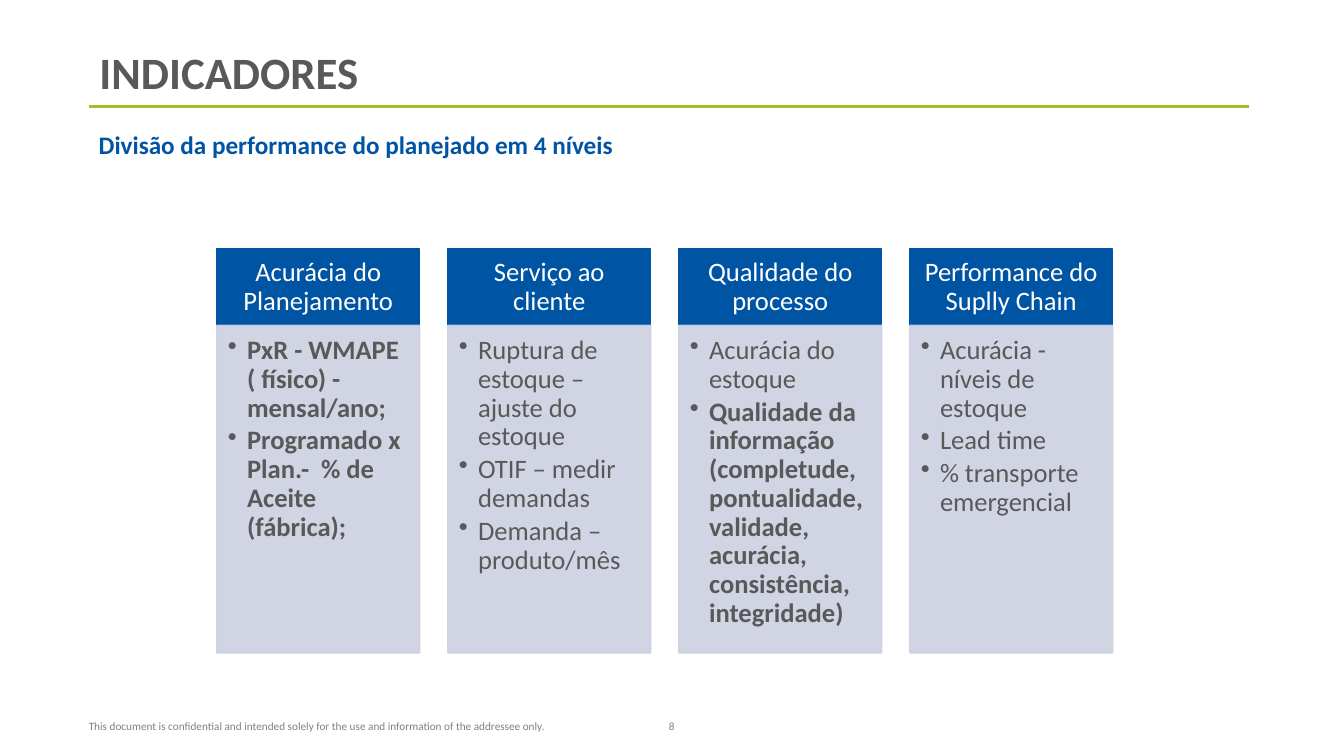
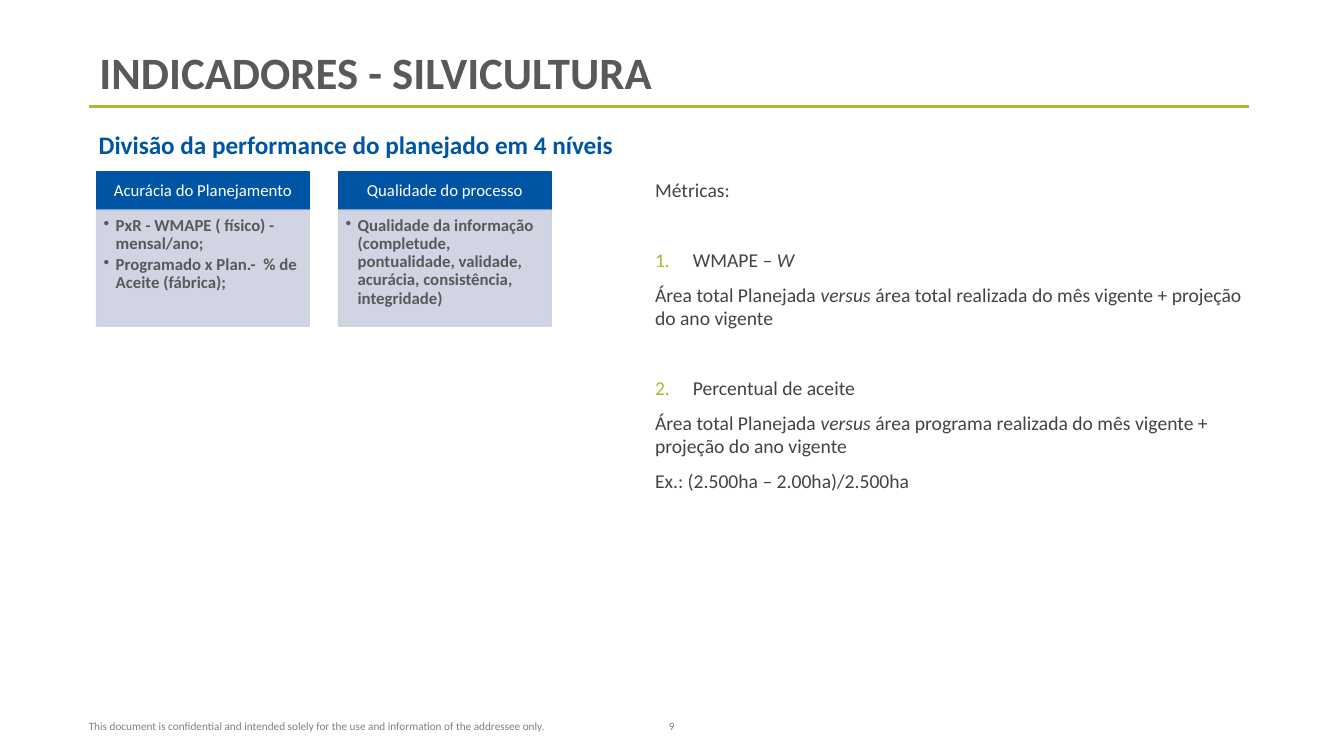
import lxml.etree
import pptx
import pptx.dml.color
import pptx.enum.shapes
import pptx.enum.text
import pptx.oxml.ns
import pptx.util

Pt = pptx.util.Pt
qn = pptx.oxml.ns.qn
ALIGN = pptx.enum.text.PP_ALIGN
ANCHOR = pptx.enum.text.MSO_ANCHOR

FONT = "Calibri"
BLUE = "0054A4"
GREEN = "A2BD30"
PALE = "CCD1E0"
GREY = "595959"
DARK = "434343"
FOOTER_GREY = "808080"
WHITE = "FFFFFF"

FOOTER = ("This document is confidential and intended solely for the use "
          "and information of the addressee only.")
SUBTITLE = "Divisão da performance do planejado em 4 níveis"

ACCURACY = ("Acurácia do Planejamento", [
    ("PxR - WMAPE ( físico) - mensal/ano;", True),
    ("Programado x Plan.-  % de Aceite (fábrica);", True)])
SERVICE = ("Serviço ao cliente", [
    ("Ruptura de estoque – ajuste do estoque", False),
    ("OTIF – medir demandas", False),
    ("Demanda – produto/mês", False)])
INFORMATION = ("Qualidade da informação (completude, pontualidade, validade, "
               "acurácia, consistência, integridade)", True)
QUALITY = "Qualidade do processo"
SUPPLY = ("Performance do Suplly Chain", [
    ("Acurácia - níveis de estoque", False),
    ("Lead time", False),
    ("% transporte emergencial", False)])


def rgb(value):
    return pptx.dml.color.RGBColor.from_string(value)


def add_sub(parent, tag, **attrs):
    return lxml.etree.SubElement(
        parent, qn(tag), {name: str(value) for name, value in attrs.items()})


def set_frame(tf, insets=(7.2, 3.6, 7.2, 3.6), anchor=ANCHOR.TOP):
    tf.word_wrap = True
    tf.vertical_anchor = anchor
    tf.margin_left, tf.margin_top, tf.margin_right, tf.margin_bottom = map(Pt, insets)


def write(tf, text, size, color, bold=False, align=ALIGN.LEFT, spacing=1.0,
          before=0, after=0, indent=0, bullet=None, number=None):
    """Add one paragraph; parts of text between asterisks are italic."""
    p = tf.paragraphs[0]
    if p.runs:
        p = tf.add_paragraph()
    p.alignment = align
    p.line_spacing = spacing
    p.space_before, p.space_after = Pt(before), Pt(after)
    pPr = p._p.get_or_add_pPr()
    if indent:
        pPr.set("marL", str(Pt(indent)))
        pPr.set("indent", str(-Pt(indent)))
    if bullet:
        add_sub(pPr, "a:buChar", char=bullet)
    if number:
        add_sub(add_sub(pPr, "a:buClr"), "a:srgbClr", val=GREEN)
        add_sub(pPr, "a:buAutoNum", type="arabicPeriod", startAt=number)
    for i, part in enumerate(text.split("*")):
        if part:
            r = p.add_run()
            r.text = part
            font = r.font
            font.name, font.size = FONT, Pt(size)
            font.bold, font.italic = bold, i % 2 == 1
            font.color.rgb = rgb(color)


def add_text_box(s, x, y, w, h, **frame):
    tf = s.shapes.add_textbox(Pt(x), Pt(y), Pt(w), Pt(h)).text_frame
    set_frame(tf, **frame)
    return tf


def add_box(s, x, y, w, h, color, alpha=None):
    sp = s.shapes.add_shape(pptx.enum.shapes.MSO_SHAPE.RECTANGLE,
                            Pt(x), Pt(y), Pt(w), Pt(h))
    sp.shadow.inherit = False
    sp.fill.solid()
    sp.fill.fore_color.rgb = rgb(color)
    sp.line.color.rgb = rgb(color)
    sp.line.width = Pt(1)
    if alpha:
        for clr in sp._element.spPr.iter(qn("a:srgbClr")):
            add_sub(clr, "a:alpha", val=alpha * 1000)
    return sp.text_frame


def add_rule(s, x1, x2, y):
    line = s.shapes.add_connector(pptx.enum.shapes.MSO_CONNECTOR.STRAIGHT,
                                  Pt(x1), Pt(y), Pt(x2), Pt(y))
    line.line.color.rgb = rgb(GREEN)
    line.line.width = Pt(2.25)
    add_sub(line._element.spPr, "a:effectLst")


def add_slide(prs, title, page):
    """Add a slide with the shared title, rule, subtitle and footer."""
    s = prs.slides.add_slide(prs.slide_layouts[6])
    add_rule(s, 63.4, 892, 76.3)
    small = dict(size=8, color=FOOTER_GREY, before=3, after=3)
    write(add_text_box(s, 63.4, 510.5, 353.5, 18.7, insets=(0, 3.6, 0, 3.6)),
          FOOTER, **small)
    write(add_text_box(s, 464.4, 510.5, 31, 18.7), str(page),
          align=ALIGN.CENTER, **small)
    write(add_text_box(s, 64, 21, 822, 53.2, anchor=ANCHOR.BOTTOM),
          title, 32, GREY, bold=True, spacing=0.9)
    write(add_text_box(s, 63.4, 88.6, 822, 57), SUBTITLE, 18, BLUE, bold=True)
    return s


def add_levels(s, levels, x, y, w, pitch, head_h, body_h, size):
    """Draw a row of headed lists; margins grow with the text size."""
    for i, (heading, items) in enumerate(levels):
        left = x + i * pitch
        head = add_box(s, left, y, w, head_h, BLUE)
        set_frame(head, [size * k for k in (0.55, 0.3, 0.55, 0.3)], ANCHOR.MIDDLE)
        write(head, heading, size, WHITE, align=ALIGN.CENTER, spacing=0.9)
        body = add_box(s, left, y + head_h, w, body_h, PALE, alpha=90)
        set_frame(body, [size * k for k in (0.42, 0.42, 0.55, 0.63)])
        for text, bold in items:
            write(body, text, size, GREY, bold=bold, spacing=0.9,
                  after=round(size * 0.15), indent=size * 0.72, bullet="•")


def add_metrics(s):
    tf = add_text_box(s, 460.8, 123.8, 438.5, 317.5)
    gap = 29
    for text, options in [
        ("Métricas:", {}),
        ("WMAPE – *W*", dict(number=1, indent=27, before=gap)),
        ("Área total Planejada *versus *área total realizada do mês vigente"
         " + projeção do ano vigente", {}),
        ("Percentual de aceite", dict(number=2, indent=27, before=gap)),
        ("Área total Planejada *versus *área programa realizada do mês vigente"
         " + projeção do ano vigente", {}),
        ("Ex.: (2.500ha – 2.00ha)/2.500ha", {}),
    ]:
        write(tf, text, 14, DARK, **{"before": 4, "after": 4, **options})


def main():
    prs = pptx.Presentation()
    prs.slide_width, prs.slide_height = Pt(960), Pt(540)

    s = add_slide(prs, "INDICADORES", 8)
    quality = (QUALITY, [("Acurácia do estoque", False), INFORMATION])
    add_levels(s, [ACCURACY, SERVICE, quality, SUPPLY], x=154.8, y=178, w=145,
               pitch=165, head_h=54.4, body_h=234, size=19)

    s = add_slide(prs, "INDICADORES - SILVICULTURA", 9)
    add_levels(s, [ACCURACY, (QUALITY, [INFORMATION])], x=69, y=123, w=152,
               pitch=172.8, head_h=27, body_h=83, size=12)
    add_metrics(s)

    prs.save("out.pptx")


if __name__ == "__main__":
    main()
